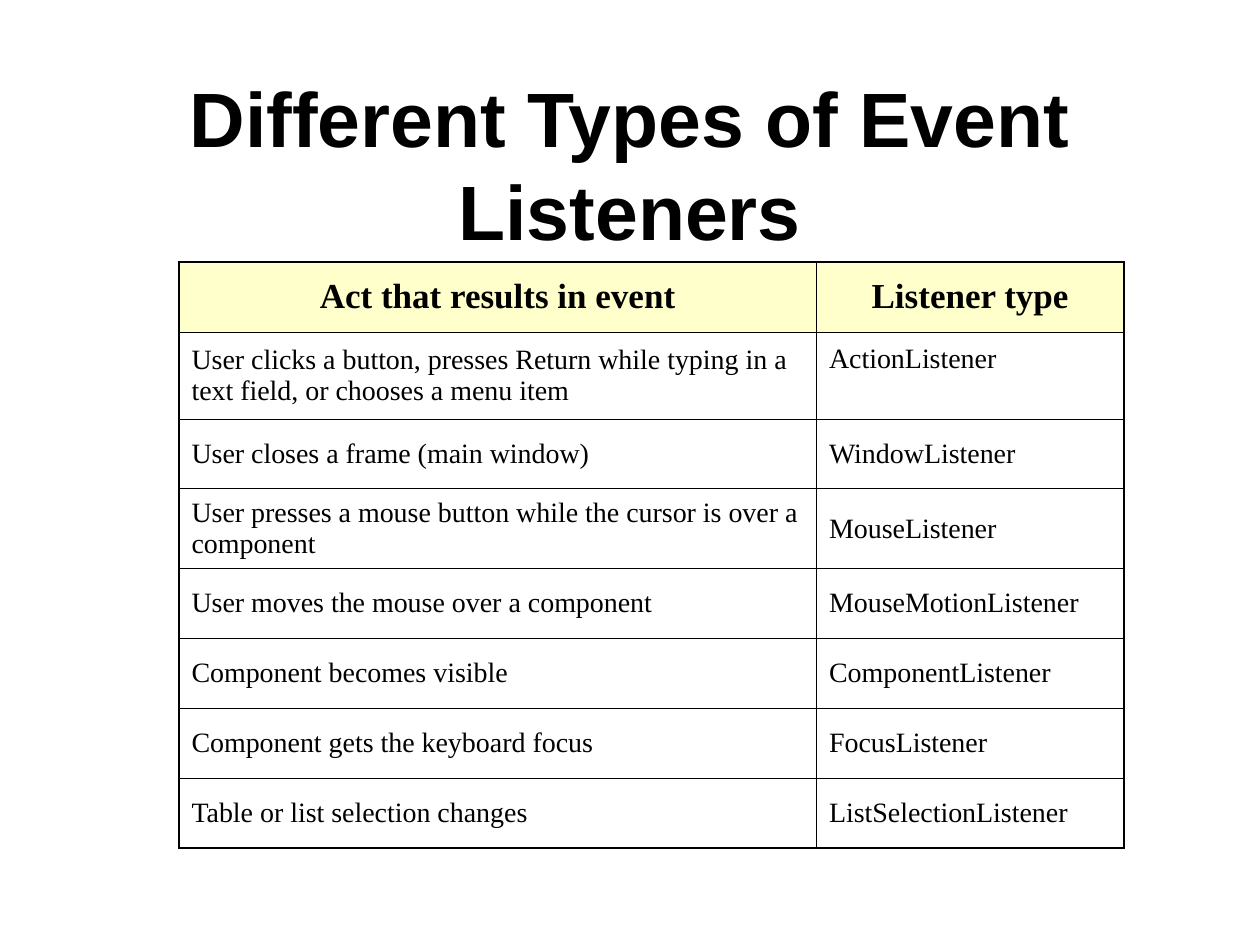
import dataclasses

import lxml.etree
import pptx
import pptx.dml.color
import pptx.enum.text
import pptx.oxml.ns
import pptx.util

Inches = pptx.util.Inches
Pt = pptx.util.Pt
ALIGN = pptx.enum.text.PP_ALIGN
ANCHOR = pptx.enum.text.MSO_ANCHOR

LISTENERS = [
    ("Act that results in event", "Listener type"),
    ("User clicks a button, presses Return while typing in a text field, "
     "or chooses a menu item", "ActionListener"),
    ("User closes a frame (main window)", "WindowListener"),
    ("User presses a mouse button while the cursor is over a component", "MouseListener"),
    ("User moves the mouse over a component", "MouseMotionListener"),
    ("Component becomes visible", "ComponentListener"),
    ("Component gets the keyboard focus", "FocusListener"),
    ("Table or list selection changes", "ListSelectionListener"),
]
COLUMN_WIDTHS = (5.06, 2.44)
TABLE_HEIGHT = 4.65
TALL_ROWS = {1: 0.69, 3: 0.63}


@dataclasses.dataclass(frozen=True)
class Theme:
    ink: str = "000000"
    header_fill: str = "FFFFCC"
    title_font: str = "Arial"
    table_font: str = "Times New Roman"
    title_size: float = 44
    header_size: float = 20
    body_size: float = 16
    outer_line: float = 1.08
    inner_line: float = 0.45


class SlideBuilder:
    def __init__(self, slide, theme):
        self.slide = slide
        self.theme = theme

    def text_run(self, frame, text, font, size, bold, align):
        paragraph = frame.paragraphs[0]
        paragraph.alignment = align
        run = paragraph.add_run()
        run.text = text
        run.font.name = font
        run.font.size = Pt(size)
        run.font.bold = bold
        run.font.color.rgb = pptx.dml.color.RGBColor.from_string(self.theme.ink)

    def title(self, text, left, top, width, height):
        box = self.slide.shapes.add_textbox(
            Inches(left), Inches(top), Inches(width), Inches(height))
        frame = box.text_frame
        frame.word_wrap = True
        frame.vertical_anchor = ANCHOR.MIDDLE
        self.text_run(frame, text, self.theme.title_font, self.theme.title_size,
                      True, ALIGN.CENTER)

    def borders(self, cell, outer_sides):
        properties = cell._tc.get_or_add_tcPr()
        qn = pptx.oxml.ns.qn
        for side in "LRTB":
            width = self.theme.outer_line if side in outer_sides else self.theme.inner_line
            line = lxml.etree.SubElement(properties, qn(f"a:ln{side}"), w=str(int(Pt(width))))
            fill = lxml.etree.SubElement(line, qn("a:solidFill"))
            lxml.etree.SubElement(fill, qn("a:srgbClr"), val=self.theme.ink)

    def cell(self, cell, text, is_header, outer_sides):
        theme = self.theme
        self.borders(cell, outer_sides)
        if is_header:
            cell.fill.solid()
            cell.fill.fore_color.rgb = pptx.dml.color.RGBColor.from_string(theme.header_fill)
        else:
            cell.fill.background()
        cell.vertical_anchor = ANCHOR.MIDDLE
        self.text_run(cell.text_frame, text, theme.table_font,
                      theme.header_size if is_header else theme.body_size,
                      is_header, ALIGN.CENTER if is_header else ALIGN.LEFT)

    def table(self, rows, left, top, column_widths, height, tall_rows):
        table = self.slide.shapes.add_table(
            len(rows), len(column_widths), Inches(left), Inches(top),
            Inches(sum(column_widths)), Inches(height)).table
        table.first_row = False
        table.horz_banding = False
        for column, width in zip(table.columns, column_widths):
            column.width = Inches(width)
        plain_height = (height - sum(tall_rows.values())) / (len(rows) - len(tall_rows))
        last_row, last_column = len(rows) - 1, len(column_widths) - 1
        for r, texts in enumerate(rows):
            table.rows[r].height = Inches(tall_rows.get(r, plain_height))
            for c, text in enumerate(texts):
                edges = {"T": r == 0, "B": r == last_row, "L": c == 0, "R": c == last_column}
                outer_sides = [side for side, is_outer in edges.items() if is_outer]
                self.cell(table.cell(r, c), text, r == 0, outer_sides)
        return table


def main():
    deck = pptx.Presentation()
    deck.slide_width = Inches(10)
    deck.slide_height = Inches(7.5)
    builder = SlideBuilder(deck.slides.add_slide(deck.slide_layouts[6]), Theme())
    builder.title("Different Types of Event Listeners", 0.75, 0.67, 8.5, 1.25)
    listener_table = builder.table(
        LISTENERS, 1.42, 2.08, COLUMN_WIDTHS, TABLE_HEIGHT, TALL_ROWS)
    action_listener = listener_table.cell(1, 1)
    action_listener.vertical_anchor = ANCHOR.TOP
    action_listener.margin_top = Inches(0.09)
    deck.save("out.pptx")


if __name__ == "__main__":
    main()
